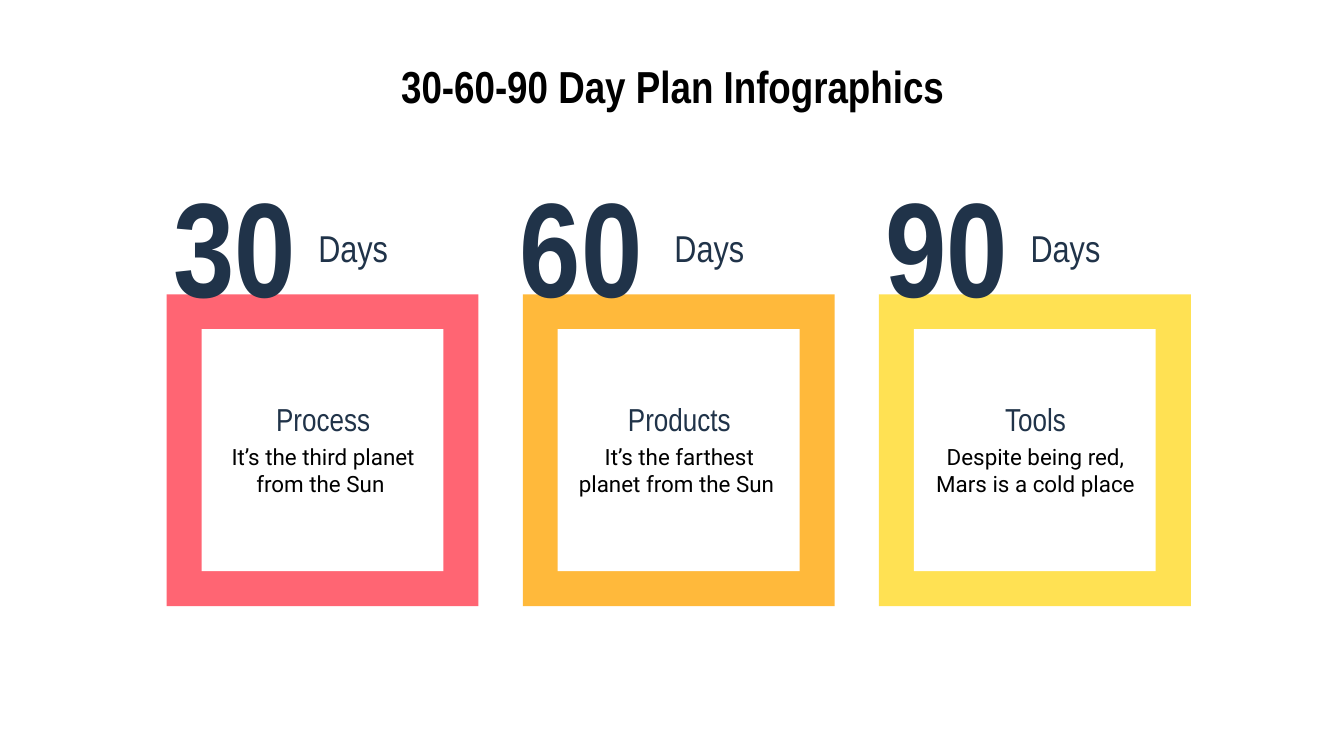
from dataclasses import dataclass

from pptx import Presentation
from pptx import util as u
from pptx.dml.color import RGBColor
from pptx.enum import shapes, text


@dataclass(frozen=True)
class Theme:
    heading_font: str = "Arial Narrow"
    body_font: str = "Roboto"
    black: str = "000000"
    navy: str = "203349"
    white: str = "FFFFFF"
    title_size: int = 24
    number_size: int = 72
    days_size: int = 20
    label_size: int = 17
    body_size: int = 12


@dataclass(frozen=True)
class Area:
    left: float
    top: float
    width: float
    height: float


@dataclass(frozen=True)
class Style:
    font: str
    size: int
    color: str
    bold: bool = False
    align: text.PP_ALIGN = text.PP_ALIGN.CENTER
    anchor: text.MSO_ANCHOR = text.MSO_ANCHOR.MIDDLE


@dataclass(frozen=True)
class Stage:
    number: str
    number_left: float
    label: str
    body: str
    color: str


THEME = Theme()
TITLE = Style(THEME.heading_font, THEME.title_size, THEME.black, True,
              anchor=text.MSO_ANCHOR.TOP)
NUMBER = Style(THEME.heading_font, THEME.number_size, THEME.navy, True)
DAYS = Style(THEME.heading_font, THEME.days_size, THEME.navy,
             align=text.PP_ALIGN.LEFT)
LABEL = Style(THEME.heading_font, THEME.label_size, THEME.navy)
BODY = Style(THEME.body_font, THEME.body_size, THEME.black)

FIRST_LEFT, PITCH = 1.24, 2.65
FRAME_TOP, FRAME_SIDE, INNER_SIDE = 2.19, 2.32, 1.8
BORDER = (FRAME_SIDE - INNER_SIDE) / 2

STAGES = [
    Stage("30", 1.13, "Process", "It’s the third planet from the Sun ", "FF6573"),
    Stage("60", 3.71, "Products", "It’s the farthest planet from the Sun ", "FFB93B"),
    Stage("90", 6.43, "Tools", "Despite being red,\vMars is a cold place", "FFE153"),
]


def place(shape, area: Area) -> None:
    shape.left, shape.top = u.Inches(area.left), u.Inches(area.top)
    shape.width, shape.height = u.Inches(area.width), u.Inches(area.height)


def write(shape, words: str, style: Style) -> None:
    frame = shape.text_frame
    frame.word_wrap = True
    frame.auto_size = text.MSO_AUTO_SIZE.NONE
    frame.vertical_anchor = style.anchor
    frame.margin_left = frame.margin_right = u.Inches(0.1)
    frame.margin_top = frame.margin_bottom = u.Inches(0.1)
    para = frame.paragraphs[0]
    para.text = words
    para.alignment = style.align
    para.font.name = style.font
    para.font.size = u.Pt(style.size)
    para.font.bold = style.bold
    para.font.color.rgb = RGBColor.from_string(style.color)


def add_text(page, area: Area, words: str, style: Style) -> None:
    box = page.shapes.add_textbox(0, 0, 0, 0)
    place(box, area)
    write(box, words, style)


def add_square(page, left: float, top: float, side: float, color: str) -> None:
    square = page.shapes.add_shape(shapes.MSO_SHAPE.RECTANGLE, 0, 0, 0, 0)
    place(square, Area(left, top, side, side))
    square.shadow.inherit = False
    square.fill.solid()
    square.fill.fore_color.rgb = RGBColor.from_string(color)
    square.line.fill.background()


def add_stage(page, stage: Stage, left: float) -> None:
    add_square(page, left, FRAME_TOP, FRAME_SIDE, stage.color)
    add_square(page, left + BORDER, FRAME_TOP + BORDER, INNER_SIDE, THEME.white)
    add_text(page, Area(stage.number_left, 1.35, 1.23, 0.92), stage.number, NUMBER)
    add_text(page, Area(left + 1.03, 1.61, 0.77, 0.47), "Days", DAYS)
    add_text(page, Area(left + 0.22, 2.88, 1.89, 0.47), stage.label, LABEL)
    add_text(page, Area(left + 0.29, 3.21, 1.75, 0.58), stage.body, BODY)


def main() -> None:
    deck = Presentation()
    deck.slide_width = u.Inches(10)
    deck.slide_height = deck.slide_width * 9 // 16
    page = deck.slides.add_slide(deck.slide_layouts.get_by_name("Title Only"))
    title = page.shapes.title
    place(title, Area(0.2, 0.34, 9.61, 0.63))
    write(title, "30-60-90 Day Plan Infographics", TITLE)
    for index, stage in enumerate(STAGES):
        add_stage(page, stage, FIRST_LEFT + index * PITCH)
    deck.save("out.pptx")


if __name__ == "__main__":
    main()
